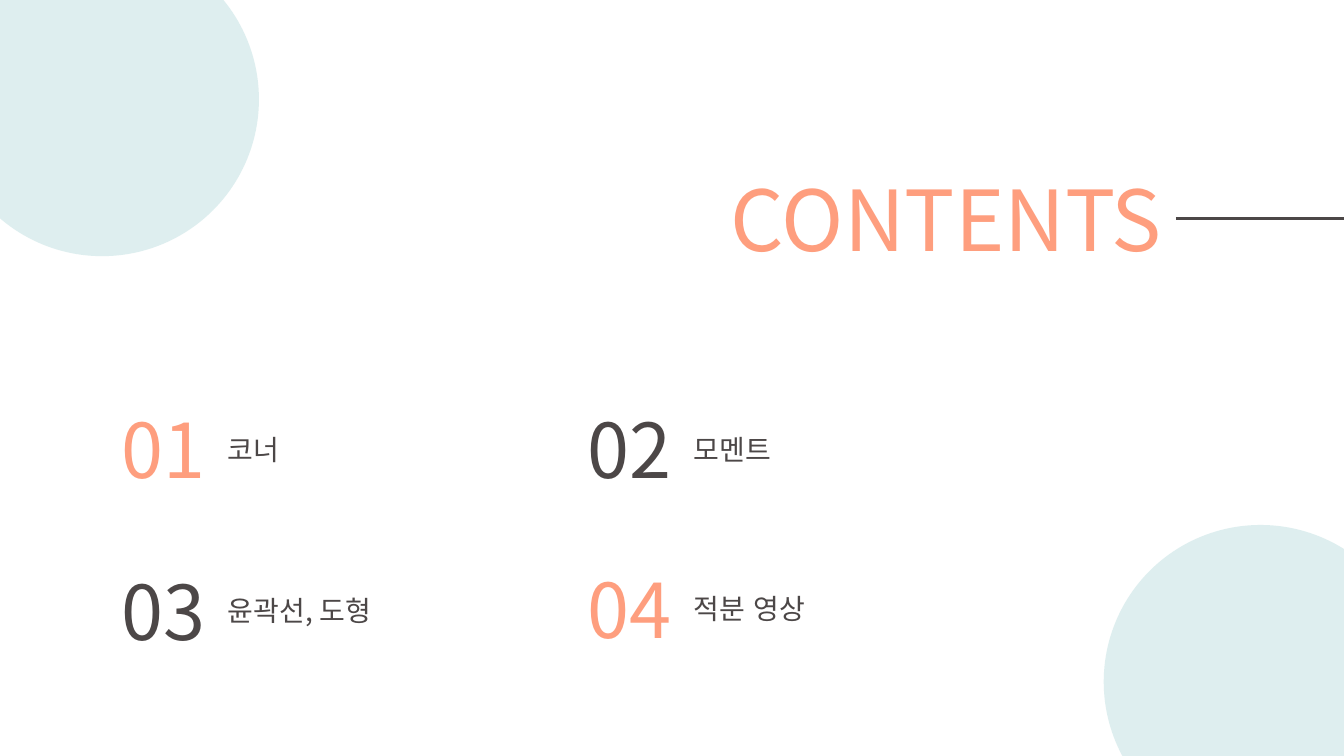
from lxml import etree
from pptx import Presentation
from pptx import util as u
from pptx.dml.color import RGBColor
from pptx.enum import lang, shapes, text
from pptx.oxml import ns

CORAL, DARK, MINT = "FE9E7E", "4C4747", "C8E4E5"


def rgb(value):
    return RGBColor.from_string(value)


def box(*lengths):
    return [u.Pt(n) for n in lengths]


class ContentsSlide:
    font = "Noto Sans CJK KR"

    def __init__(self, prs):
        self.s = prs.slides.add_slide(prs.slide_layouts[5])

    def set_text(self, sp, content, size, color):
        tf = sp.text_frame
        tf.text = content
        tf.word_wrap = False
        tf.auto_size = text.MSO_AUTO_SIZE.SHAPE_TO_FIT_TEXT
        tf.vertical_anchor = text.MSO_ANCHOR.TOP
        p = tf.paragraphs[0]
        p.alignment = text.PP_ALIGN.LEFT
        r = p.runs[0]
        r.font.size = u.Pt(size)
        r.font.name = self.font
        r.font.color.rgb = rgb(color)
        r.font.language_id = lang.MSO_LANGUAGE_ID.KOREAN
        rpr = r.font._element
        etree.SubElement(rpr, ns.qn("a:ea"), typeface=self.font)
        ln = etree.Element(ns.qn("a:ln"), w=str(u.Pt(0.75)))
        rpr.insert(0, ln)
        fill = etree.SubElement(ln, ns.qn("a:solidFill"))
        self.fade(etree.SubElement(fill, ns.qn("a:srgbClr"), val=color), 20)

    def fade(self, clr, percent):
        etree.SubElement(clr, ns.qn("a:alpha"), val=str(percent * 1000))

    def title(self, content, x, y, w, h):
        sp = self.s.shapes.title
        sp.left, sp.top, sp.width, sp.height = box(x, y, w, h)
        self.set_text(sp, content, 60, CORAL)

    def label(self, content, x, y, w, h, size, color):
        sp = self.s.shapes.add_textbox(*box(x, y, w, h))
        self.set_text(sp, content, size, color)

    def line(self, x1, y1, x2, y2):
        sp = self.s.shapes.add_connector(
            shapes.MSO_CONNECTOR.STRAIGHT, *box(x1, y1, x2, y2))
        sp.line.color.rgb = rgb(DARK)
        sp.line.width = u.Pt(2.25)
        etree.SubElement(sp._element.spPr, ns.qn("a:effectLst"))

    def circle(self, x, y, d):
        sp = self.s.shapes.add_shape(shapes.MSO_SHAPE.OVAL, *box(x, y, d, d))
        sp.shadow.inherit = False
        sp.fill.solid()
        sp.fill.fore_color.rgb = rgb(MINT)
        sp.line.fill.background()
        self.fade(sp._element.spPr.find(".//" + ns.qn("a:srgbClr")), 60)

    def entry(self, number, caption, x, y, w, color):
        self.label(number, x, y, 75.6, 72.7, 54, color)
        self.label(caption, x + 75.8, y + 20.7, w, 31.5, 20, DARK)


def main():
    prs = Presentation()
    prs.slide_width, prs.slide_height = box(960, 540)
    page = ContentsSlide(prs)
    page.title("CONTENTS", 514.8, 116, 325.4, 80)
    page.line(840, 156, 960, 156)
    for x, y in ((-39, -41), (788.4, 375)):
        page.circle(x, y, 224)
    left, right = 80, 412.8
    for number, caption, x, y, w, color in (
        ("01", "코너", left, 284.4, 54.7, CORAL),
        ("02", "모멘트", right, 284.4, 74.9, DARK),
        ("03", "윤곽선, 도형", left, 399.6, 126.7, DARK),
        ("04", "적분 영상", right, 398.4, 102.2, CORAL),
    ):
        page.entry(number, caption, x, y, w, color)
    prs.save("out.pptx")


if __name__ == "__main__":
    main()
